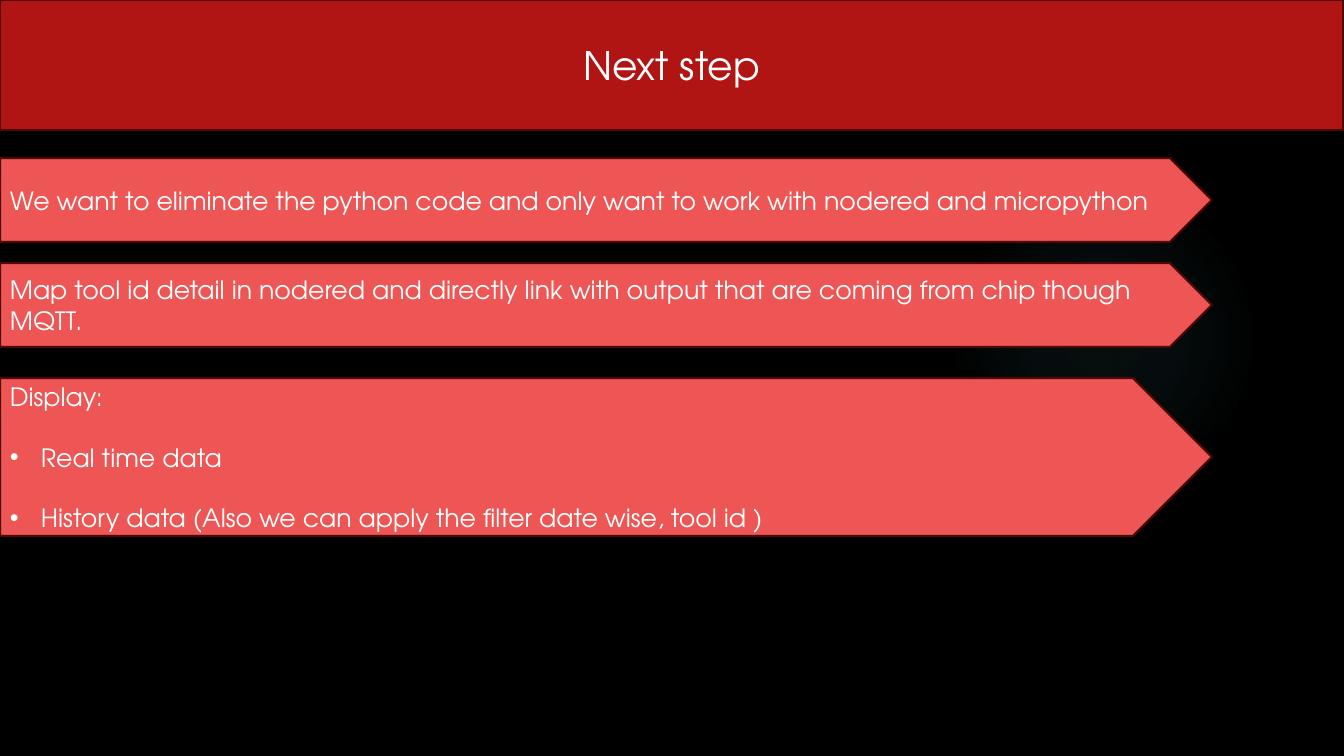
from lxml import etree
from pptx import Presentation
from pptx.dml.color import RGBColor
from pptx.enum.shapes import MSO_SHAPE
from pptx.enum.text import MSO_ANCHOR, PP_ALIGN
from pptx.oxml import parse_xml
from pptx.oxml.ns import nsdecls, qn
from pptx.util import Pt

# Content: each arrow has its top, height and lines (text, bulleted)
TITLE = "Next step"
STEPS = [
    (158, 84, [("We want to eliminate the python code and only want to work "
                "with nodered and micropython", False)]),
    (263, 84, [("Map tool id detail in nodered and directly link with output "
                "that are coming from chip though MQTT.", False)]),
    (378, 158, [("Display:", False),
                ("Real time data", True),
                ("History data (Also we can apply the filter date wise, "
                 "tool id )", True)]),
]
GLOW = [(0, 7), (36, 6), (69, 0)]  # position and opacity, percent

# Look and sizes
COLORS = {"back": "000000", "bar": "B01513", "step": "ED5654",
          "edge": "4D0908", "text": "FFFFFF", "glow": "50B9C1"}
FONT = "TeX Gyre Adventor"
WIDE, HIGH = 1344, 756
INDENT = 31
GAP = 21.6


def px(n):
    return round(n * 914400 / 100.8)


def rgb(name):
    return RGBColor.from_string(COLORS[name])


def put_shape(kind, x, y, w, h, fill=None):
    shape = slide.shapes.add_shape(kind, px(x), px(y), px(w), px(h))
    shape.shadow.inherit = False
    if fill:
        shape.fill.solid()
        shape.fill.fore_color.rgb = rgb(fill)
        shape.line.color.rgb = rgb("edge")
        shape.line.width = Pt(1.5)
    else:
        shape.line.fill.background()
    return shape


def put_text(shape, lines, size=18, align=PP_ALIGN.LEFT):
    frame = shape.text_frame
    frame.word_wrap = True
    frame.vertical_anchor = MSO_ANCHOR.MIDDLE
    for i, (text, dot) in enumerate(lines):
        para = frame.add_paragraph() if i else frame.paragraphs[0]
        para.alignment = align
        if i:
            para.space_before = Pt(GAP)
        if dot:
            props = para._p.get_or_add_pPr()
            props.set("marL", str(px(INDENT)))
            props.set("indent", str(-px(INDENT)))
            etree.SubElement(props, qn("a:buFont")).set("typeface", "Arial")
            etree.SubElement(props, qn("a:buChar")).set("char", "•")
        run = para.add_run()
        run.text = text
        run.font.name = FONT
        run.font.size = Pt(size)
        run.font.color.rgb = rgb("text")


def add_glow(shape):
    stops = "".join(
        f'<a:gs pos="{pos * 1000}"><a:srgbClr val="{COLORS["glow"]}">'
        f'<a:alpha val="{alpha * 1000}"/></a:srgbClr></a:gs>'
        for pos, alpha in GLOW)
    grad = parse_xml(
        f'<a:gradFill {nsdecls("a")}><a:gsLst>{stops}</a:gsLst>'
        '<a:path path="circle"><a:fillToRect l="50000" t="50000" '
        'r="50000" b="50000"/></a:path></a:gradFill>')
    shape._element.spPr.find(qn("a:prstGeom")).addnext(grad)


# Slide and background
deck = Presentation()
deck.slide_width, deck.slide_height = px(WIDE), px(HIGH)
slide = deck.slides.add_slide(deck.slide_layouts[6])
slide.background.fill.solid()
slide.background.fill.fore_color.rgb = rgb("back")
add_glow(put_shape(MSO_SHAPE.OVAL, 949, 184, 310, 310))

# Title bar
bar = put_shape(MSO_SHAPE.RECTANGLE, 0, 0, 1343, 130, "bar")
put_text(bar, [(TITLE, False)], size=28, align=PP_ALIGN.CENTER)

# Step arrows
for top, tall, lines in STEPS:
    arrow = put_shape(MSO_SHAPE.PENTAGON, 0, top, 1212, tall, "step")
    put_text(arrow, lines)

deck.save("out.pptx")
